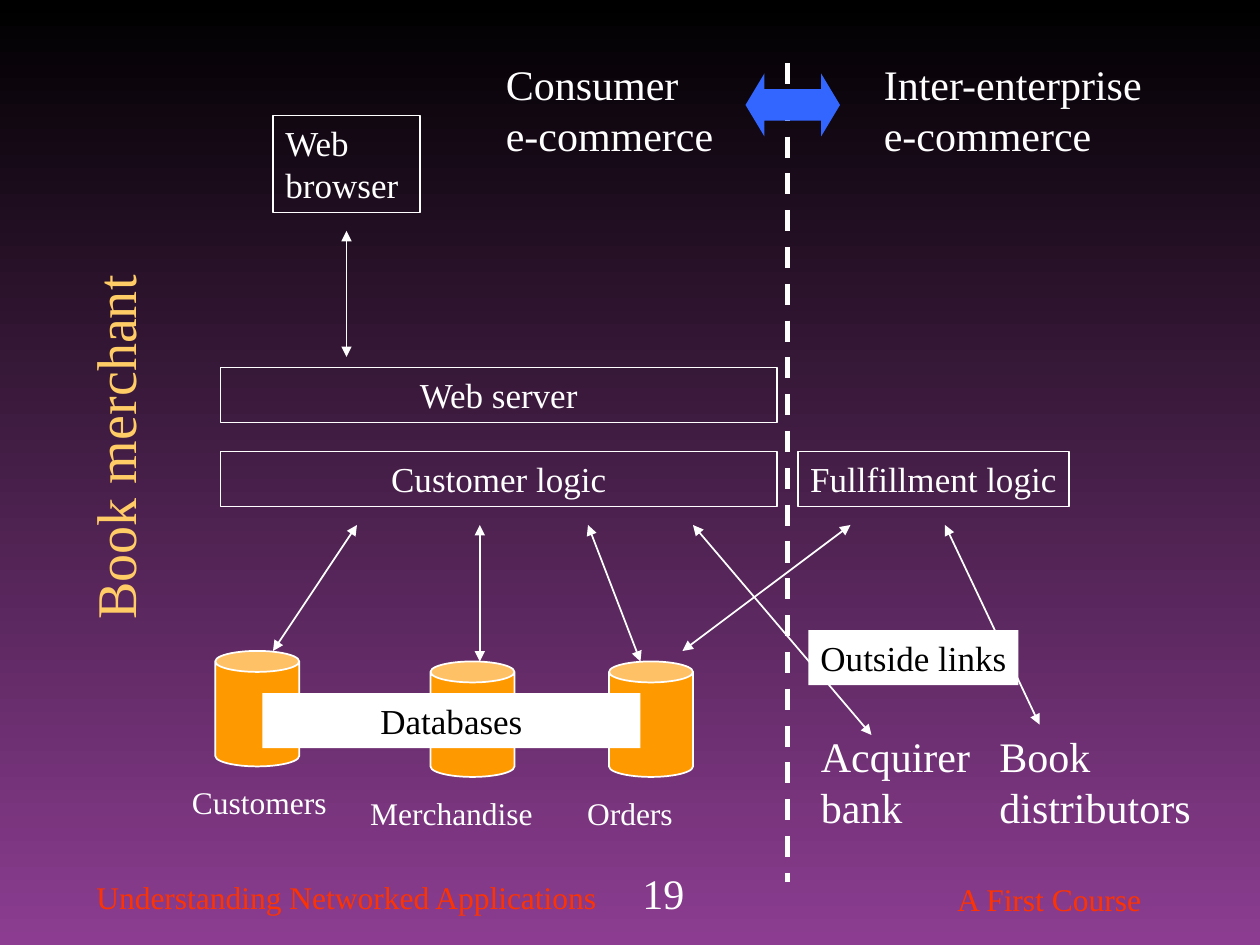
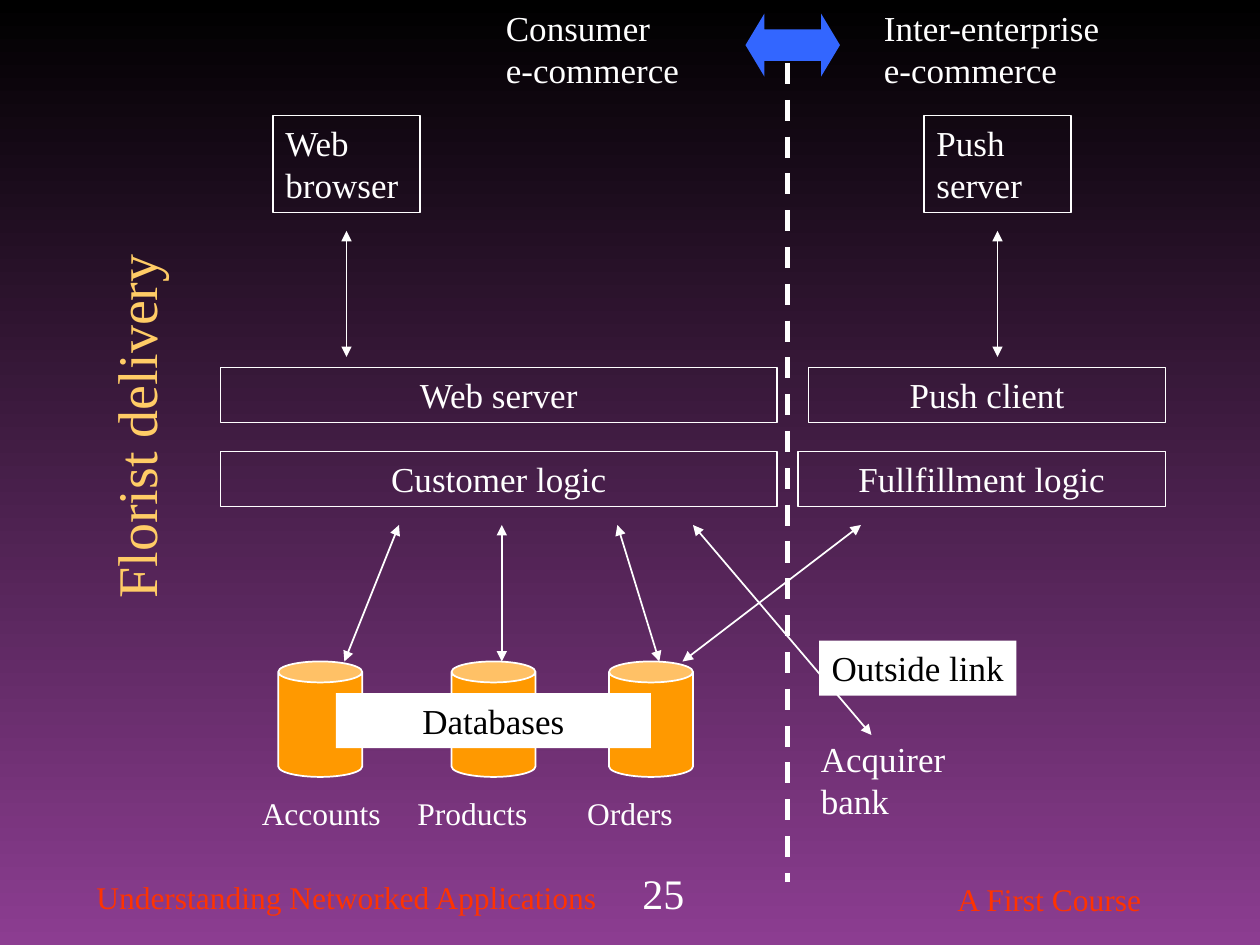
from pptx import Presentation
from pptx.dml.color import RGBColor
from pptx.enum.dml import MSO_LINE_DASH_STYLE as DASH
from pptx.enum.shapes import MSO_CONNECTOR, MSO_SHAPE as SHAPE
from pptx.enum.text import MSO_ANCHOR, MSO_AUTO_SIZE, PP_ALIGN as ALIGN
from pptx.oxml.ns import qn
from pptx.util import Inches, Pt
from lxml.etree import SubElement

COLORS = dict(top="000000", bottom="8C3D91", title="FFCC66", text="FFFFFF", dark="000000",
              footer="FF3300", database="FF9900", arrow="3366FF")
FONT = "Times New Roman"
CELL = 1 / 12  # the slide is a grid of 120 columns by 90 rows
CAN_W, CAN_H = 8, 11
BOX_H, TALL_H = 5.25, 9.25
LOGIC_Y = 50  # row where arrows leave the logic boxes

# Content: positions are (column, row), sizes are in grid cells
FOOTERS = [("Understanding Networked Applications", 8, 83, 50.2),
           ("A First Course", 90, 83.2, 20)]
SHARED_BOXES = [("Web server", 21, 35, 53, BOX_H), ("Customer logic", 21, 43, 53, BOX_H),
                ("Web\nbrowser", 26, 11, 14, TALL_H)]
SHARED_ARROWS = [((33, 22), (33, 34)), ((66, LOGIC_Y), (83, 70))]

SLIDES = [
    dict(title="Book merchant", title_center=(10.9, 42.6), number="19", text_size=24,
         region_row=5, region_widths=(22.1, 27), arrow_row=7,
         boxes=[("Fullfillment logic", 76, 43, 25.8, BOX_H)],
         # name, can column, can row, label centre
         databases=[("Customers", 20.5, 62, 24.7), ("Merchandise", 41, 63, 43),
                    ("Orders", 58, 63, 60)],
         arrows=[((34, LOGIC_Y), (26, 62)), ((45.7, LOGIC_Y), (45.7, 63)),
                 ((56, LOGIC_Y), (61, 63)), ((90, LOGIC_Y), (99, 69)),
                 ((81, LOGIC_Y), (65, 62))],
         labels=[("Databases", 25, 66, 36), ("Outside links", 77, 60, 20)],
         partners=[("Acquirer\nbank", 77, 69, 16.6), ("Book\ndistributors", 94, 69, 20.6)]),
    dict(title="Florist delivery", title_center=(12.9, 40.6), number="25", text_size=20,
         region_row=0, region_widths=(18.8, 22.9), arrow_row=1.3,
         boxes=[("Fullfillment logic", 76, 43, 35, BOX_H), ("Push client", 77, 35, 34, BOX_H),
                ("Push server", 88, 11, 14, TALL_H)],
         databases=[("Accounts", 26.5, 63, 30.6), ("Products", 43, 63, 45),
                    ("Orders", 58, 63, 60)],
         arrows=[((38, LOGIC_Y), (32.8, 63)), ((47.8, LOGIC_Y), (47.8, 63)),
                 ((58.8, LOGIC_Y), (62.8, 63)), ((82, LOGIC_Y), (65, 63)),
                 ((95, 22), (95, 34))],
         labels=[("Databases", 32, 66, 30), ("Outside link", 78, 61, 18.8)],
         partners=[("Acquirer\nbank", 77, 69.6, 14.3)]),
]


def rgb(name):
    return RGBColor.from_string(COLORS[name])


def cells(*values):
    return [Inches(v * CELL) for v in values]


def write(sp, text, size, color="text", align=ALIGN.LEFT, wrap=False):
    tf = sp.text_frame
    tf.word_wrap = wrap
    tf.auto_size = MSO_AUTO_SIZE.NONE
    tf.vertical_anchor = MSO_ANCHOR.TOP
    for i, line in enumerate(text.split("\n")):
        p = tf.add_paragraph() if i else tf.paragraphs[0]
        p.alignment = align
        r = p.add_run()
        r.text = line
        r.font.name, r.font.size = FONT, Pt(size)
        r.font.color.rgb = rgb(color)


def add_text(s, text, x, y, w, size, color="text", align=ALIGN.LEFT):
    h = (text.count("\n") + 1) * size / 5 + 1.2
    write(s.shapes.add_textbox(*cells(x, y, w, h)), text, size, color, align)


def add_shape(s, kind, x, y, w, h, fill=None, outline=True):
    sp = s.shapes.add_shape(kind, *cells(x, y, w, h))
    sp.shadow.inherit = False
    if fill:
        sp.fill.solid()
        sp.fill.fore_color.rgb = rgb(fill)
    else:
        sp.fill.background()
    if outline:
        sp.line.color.rgb = rgb("text")
        sp.line.width = Pt(1)
    else:
        sp.line.fill.background()
    return sp


def add_line(s, start, end, width=1, dash=None):
    c = s.shapes.add_connector(MSO_CONNECTOR.STRAIGHT, *cells(*start, *end))
    c.line.color.rgb = rgb("text")
    c.line.width = Pt(width)
    sp_pr = c._element.spPr
    if dash:
        c.line.dash_style = dash
    else:
        for tag in ("a:headEnd", "a:tailEnd"):
            SubElement(sp_pr.find(qn("a:ln")), qn(tag), type="triangle")
    SubElement(sp_pr, qn("a:effectLst"))


def add_frame(s, data):
    """Rotated title, footers and slide number."""
    sp = s.shapes.title
    w, h = 35.2, 7.7
    cx, cy = data["title_center"]
    sp.left, sp.top, sp.width, sp.height = cells(cx - w / 2, cy - h / 2, w, h)
    sp.rotation = 270
    write(sp, data["title"], 32, "title")
    for text, x, y, width in FOOTERS:
        add_text(s, text, x, y, width, 18, "footer")
    add_text(s, data["number"], 60, 82, 6.4, 24)


def add_diagram(s, data):
    # Outlined boxes
    for text, x, y, w, h in SHARED_BOXES + data["boxes"]:
        sp = add_shape(s, SHAPE.RECTANGLE, x, y, w, h)
        write(sp, text, 20, align=ALIGN.LEFT if h == TALL_H else ALIGN.CENTER,
              wrap=h == TALL_H)
    # Databases with their names
    for name, x, y, center in data["databases"]:
        add_shape(s, SHAPE.CAN, x, y, CAN_W, CAN_H, "database")
        add_text(s, name, center - 9, y + 12, 18, 18, align=ALIGN.CENTER)
    for text, x, y, w in data["partners"]:
        add_text(s, text, x, y, w, data["text_size"])
    # Links, then the white labels that cover them
    for start, end in SHARED_ARROWS + data["arrows"]:
        add_line(s, start, end)
    for text, x, y, w in data["labels"]:
        sp = add_shape(s, SHAPE.RECTANGLE, x, y, w, BOX_H, "text", outline=False)
        write(sp, text, 20, "dark", ALIGN.CENTER)
    # Divider between the two kinds of commerce
    regions = ("Consumer", "Inter-enterprise")
    for name, x, w in zip(regions, (47, 83), data["region_widths"]):
        add_text(s, name + "\ne-commerce", x, data["region_row"], w, data["text_size"])
    add_line(s, (75, 6), (75, 84), 3, DASH.DASH)
    sp = add_shape(s, SHAPE.LEFT_RIGHT_ARROW, 71, data["arrow_row"], 9, 6, "arrow", outline=False)
    sp.adjustments[0], sp.adjustments[1] = 0.5, 0.3


prs = Presentation()
prs.slide_width, prs.slide_height = cells(120, 90)

# Shared background
fill = prs.slide_master.background.fill
fill.gradient()
fill.gradient_angle = 270
for stop, position, color in zip(fill.gradient_stops, (0, 1), ("top", "bottom")):
    stop.position = position
    stop.color.rgb = rgb(color)

for data in SLIDES:
    s = prs.slides.add_slide(prs.slide_layouts[5])
    add_frame(s, data)
    add_diagram(s, data)

prs.save("out.pptx")
